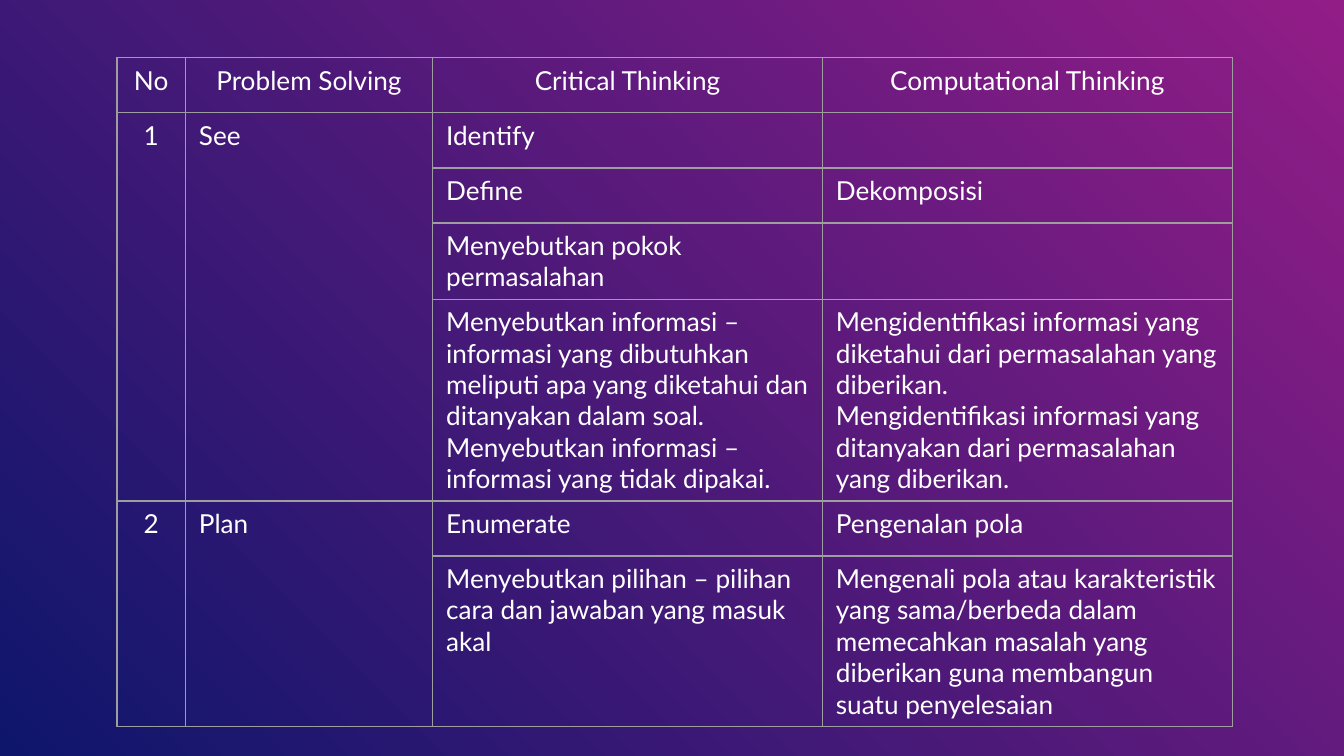
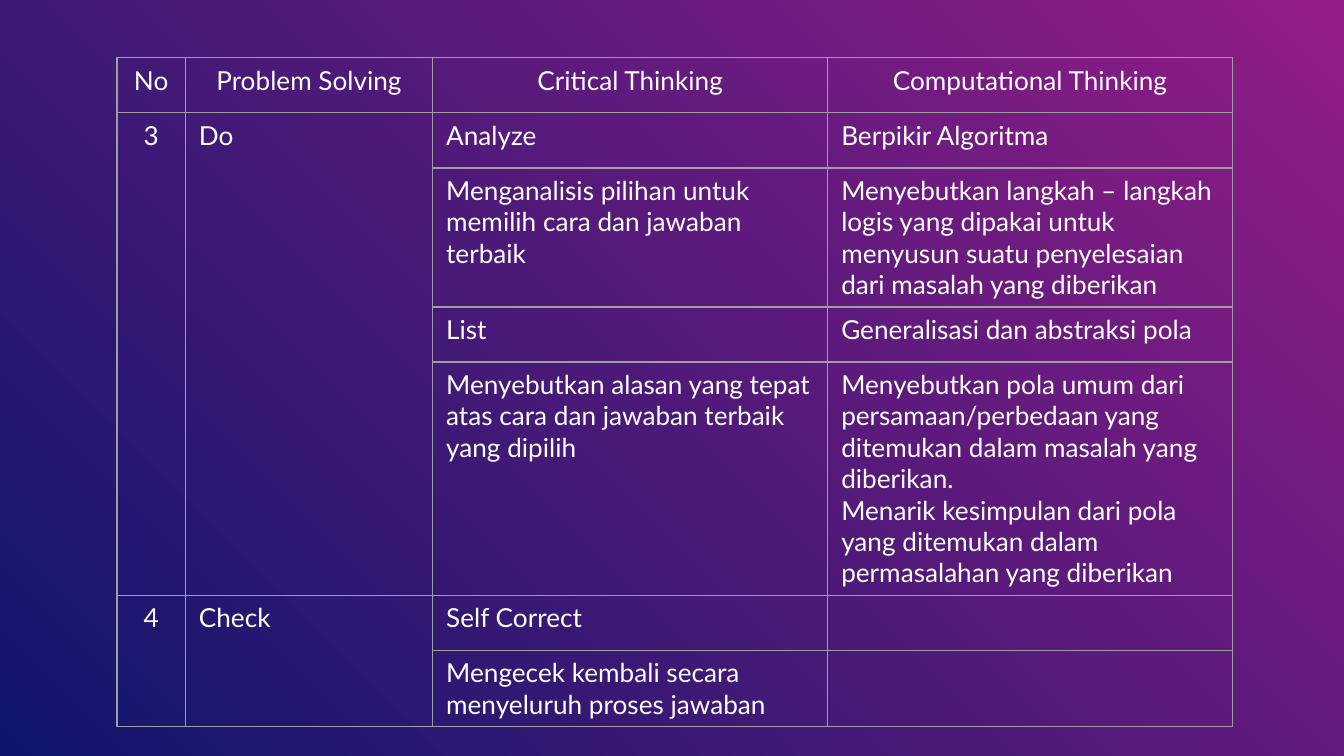
from lxml import etree
from pptx import Presentation
from pptx.dml.color import RGBColor
from pptx.enum.text import PP_ALIGN
from pptx.oxml.ns import qn
from pptx.util import Inches, Pt

LEFT, CENTER = PP_ALIGN.LEFT, PP_ALIGN.CENTER
COLORS = {
    "magenta": "921D87",
    "navy": "0E166C",
    "text": "FFFFFF",
    "border": "9E9E9E",
}
FONT = "Lato"
HEADER = ["No", "Problem Solving", "Critical Thinking", "Computational Thinking"]
ROW_HEIGHT = 0.41

# Each stage: number, name, and its (critical, computational) pairs
SEE_AND_PLAN = [
    ("1", "See", [
        ("Identify", ""),
        ("Define", "Dekomposisi"),
        ("Menyebutkan pokok permasalahan", ""),
        ("Menyebutkan informasi – informasi yang dibutuhkan meliputi apa yang "
         "diketahui dan ditanyakan dalam soal.\n"
         "Menyebutkan informasi – informasi yang tidak dipakai.",
         "Mengidentifikasi informasi yang diketahui dari permasalahan yang diberikan.\n"
         "Mengidentifikasi informasi yang ditanyakan dari permasalahan yang diberikan."),
    ]),
    ("2", "Plan", [
        ("Enumerate", "Pengenalan pola"),
        ("Menyebutkan pilihan – pilihan cara dan jawaban yang masuk akal",
         "Mengenali pola atau karakteristik yang sama/berbeda dalam memecahkan "
         "masalah yang diberikan guna membangun suatu penyelesaian"),
    ]),
]
DO_AND_CHECK = [
    ("3", "Do", [
        ("Analyze", "Berpikir Algoritma"),
        ("Menganalisis pilihan untuk memilih cara dan jawaban terbaik",
         "Menyebutkan langkah – langkah logis yang dipakai untuk menyusun suatu "
         "penyelesaian dari masalah yang diberikan"),
        ("List", "Generalisasi dan abstraksi pola"),
        ("Menyebutkan alasan yang tepat atas cara dan jawaban terbaik yang dipilih",
         "Menyebutkan pola umum dari persamaan/perbedaan yang ditemukan dalam "
         "masalah yang diberikan.\n"
         "Menarik kesimpulan dari pola yang ditemukan dalam permasalahan yang diberikan"),
    ]),
    ("4", "Check", [
        ("Self Correct", ""),
        ("Mengecek kembali secara menyeluruh proses jawaban", ""),
    ]),
]


def write_text(text_frame, text, size=14, color="text", font=FONT, align=LEFT):
    """Write one paragraph per line of text."""
    for index, line in enumerate(text.split("\n")):
        paragraph = text_frame.paragraphs[0] if index == 0 else text_frame.add_paragraph()
        paragraph.alignment = align
        run = paragraph.add_run()
        run.text = line
        run.font.size = Pt(size)
        run.font.name = font
        run.font.bold = False
        run.font.color.rgb = RGBColor.from_string(COLORS[color])


def set_borders(cell, color="border", width=0.75):
    properties = cell._tc.get_or_add_tcPr()
    for side in ("lnL", "lnR", "lnT", "lnB"):
        line = etree.SubElement(properties, qn(f"a:{side}"), w=str(Pt(width)))
        fill = etree.SubElement(line, qn("a:solidFill"))
        etree.SubElement(fill, qn("a:srgbClr"), val=COLORS[color])


class Deck:
    def __init__(self):
        self.presentation = Presentation()
        # Widescreen, 16:9
        self.presentation.slide_width = Inches(10)
        self.presentation.slide_height = Inches(10) * 9 // 16
        self.slide = None

    def add_slide(self):
        self.slide = self.presentation.slides.add_slide(self.presentation.slide_layouts[6])
        # Diagonal gradient from top right to bottom left
        fill = self.slide.background.fill
        fill.gradient()
        fill.gradient_angle = 225
        for stop, name in zip(fill.gradient_stops, ("magenta", "navy")):
            stop.color.rgb = RGBColor.from_string(COLORS[name])

    def add_stage_table(self, stages, column_widths):
        row_count = 1 + sum(len(steps) for _, _, steps in stages)
        table = self.slide.shapes.add_table(
            row_count, len(HEADER), Inches(0.87), Inches(0.43),
            Inches(sum(column_widths)), Inches(ROW_HEIGHT * row_count)).table
        table.first_row = table.horz_banding = False
        for column, width in zip(table.columns, column_widths):
            column.width = Inches(width)
        for row in table.rows:
            row.height = Inches(ROW_HEIGHT)
        for cell in table.iter_cells():
            set_borders(cell)
            cell.fill.background()

        # Header row
        for column, title in enumerate(HEADER):
            write_text(table.cell(0, column).text_frame, title, align=CENTER)

        # Stage rows, with number and name merged down the stage
        top = 1
        for number, name, steps in stages:
            bottom = top + len(steps) - 1
            for column, (text, align) in enumerate([(number, CENTER), (name, LEFT)]):
                cell = table.cell(top, column)
                cell.merge(table.cell(bottom, column))
                write_text(cell.text_frame, text, align=align)
            for row, step in enumerate(steps, top):
                for column, text in enumerate(step, 2):
                    if text:
                        write_text(table.cell(row, column).text_frame, text)
            top = bottom + 1


def main():
    deck = Deck()
    # Slide 1: see and plan
    deck.add_slide()
    deck.add_stage_table(SEE_AND_PLAN, [0.51, 1.84, 2.9, 3.05])
    # Slide 2: do and check
    deck.add_slide()
    deck.add_stage_table(DO_AND_CHECK, [0.51, 1.84, 2.94, 3.01])
    deck.presentation.save("out.pptx")


if __name__ == "__main__":
    main()
